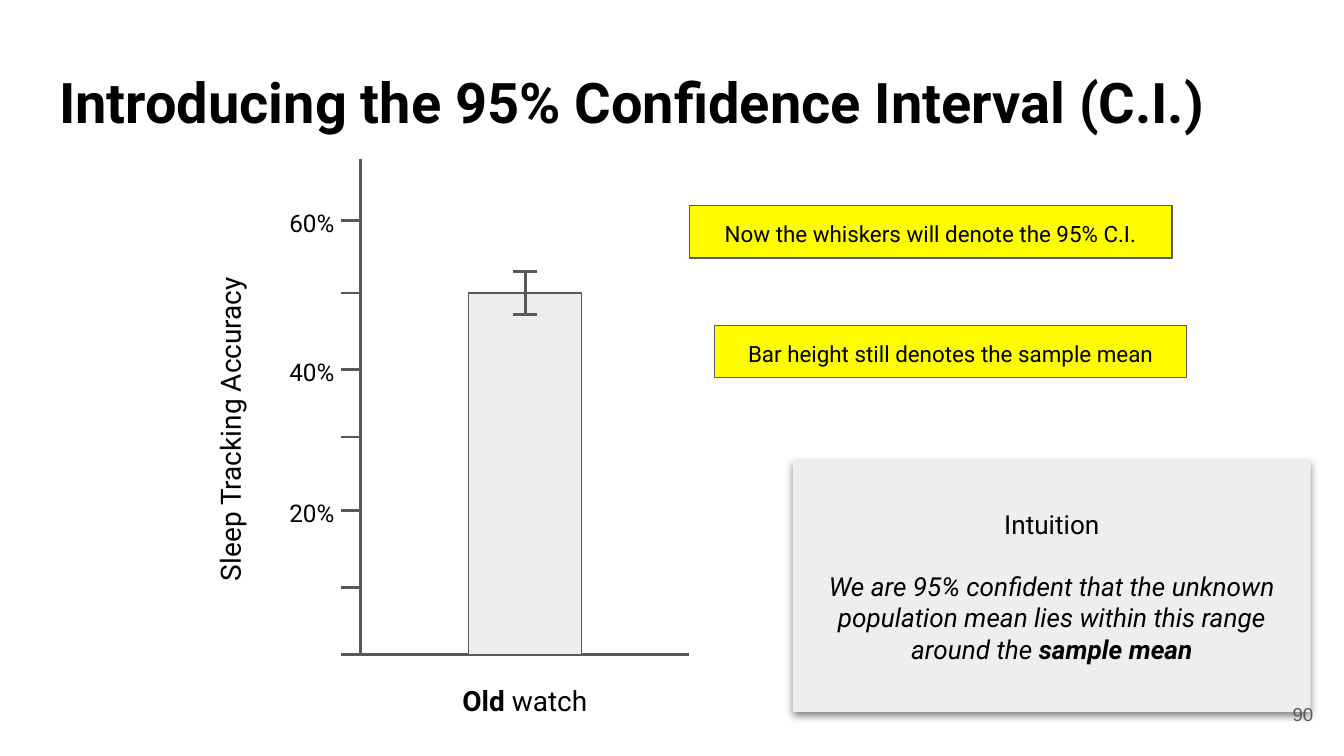
from lxml.etree import SubElement
from pptx import Presentation
from pptx.dml.color import RGBColor
from pptx.enum.shapes import MSO_CONNECTOR, MSO_SHAPE
from pptx.enum.text import MSO_ANCHOR, MSO_AUTO_SIZE, PP_ALIGN
from pptx.oxml.ns import qn
from pptx.util import Cm, Pt

COLORS = {"text": "000000", "line": "595959", "panel": "EEEEEE", "callout": "FFFC00"}

# Chart geometry in centimetres
AXIS_X, AXIS_TOP, AXIS_BASE, AXIS_RIGHT = 6.81, 3.0, 12.37, 13.03
TICK_LENGTH = 0.36
TICKS = [(4.17, "60%"), (5.54, ""), (6.99, "40%"), (8.26, ""),
         (9.65, "20%"), (11.1, ""), (AXIS_BASE, "")]
LABEL_WIDTH, LABEL_HEIGHT = 2.51, 1.7
BAR_LEFT, BAR_TOP, BAR_WIDTH = 8.86, 5.54, 2.13
WHISKER_TOP, WHISKER_BOTTOM, CAP_HALF = 5.13, 5.94, 0.23


def color(name):
    return RGBColor.from_string(COLORS[name])


def prepare_frame(shape, anchor):
    frame = shape.text_frame
    frame.word_wrap = True
    frame.auto_size = MSO_AUTO_SIZE.NONE
    frame.vertical_anchor = anchor
    frame.margin_left = frame.margin_right = Cm(0.25)
    frame.margin_top = frame.margin_bottom = Cm(0.25)
    return frame


def write_para(para, spans, size, align=PP_ALIGN.CENTER, spacing=1.0,
               font="Roboto", ink="text"):
    """Fill a paragraph with (text, bold, italic) spans."""
    para.alignment = align
    para.line_spacing = spacing
    for text, bold, italic in spans:
        span = para.add_run()
        span.text = text
        span.font.name = font
        span.font.size = Pt(size)
        span.font.bold = bold
        span.font.italic = italic
        span.font.color.rgb = color(ink)


def add_label(page, place, spans, size, anchor=MSO_ANCHOR.TOP, **style):
    box = page.shapes.add_textbox(*map(Cm, place))
    write_para(prepare_frame(box, anchor).paragraphs[0], spans, size, **style)
    return box


def add_line(shapes, x1, y1, x2, y2):
    line = shapes.add_connector(MSO_CONNECTOR.STRAIGHT, Cm(x1), Cm(y1), Cm(x2), Cm(y2))
    line.line.color.rgb = color("line")
    line.line.width = Pt(1.5)
    SubElement(line._element.spPr, qn("a:effectLst"))


def add_rectangle(page, place, fill, outlined=True):
    box = page.shapes.add_shape(MSO_SHAPE.RECTANGLE, *map(Cm, place))
    box.shadow.inherit = False
    box.fill.solid()
    box.fill.fore_color.rgb = color(fill)
    if outlined:
        box.line.color.rgb = color("line")
        box.line.width = Pt(0.75)
    else:
        box.line.fill.background()
    return box


def add_callout(page, place, text):
    box = add_rectangle(page, place, "callout")
    frame = prepare_frame(box, MSO_ANCHOR.MIDDLE)
    write_para(frame.paragraphs[0], [(text, False, False)], 12, spacing=1.15)


def add_drop_shadow(box):
    effects = box._element.spPr.find(qn("a:effectLst"))
    shadow = SubElement(effects, qn("a:outerShdw"), blurRad=str(Pt(4.5)),
                        dist=str(Pt(1.5)), dir="5400000", algn="bl", rotWithShape="0")
    tint = SubElement(shadow, qn("a:srgbClr"), val=COLORS["text"])
    SubElement(tint, qn("a:alpha"), val="50000")


def add_title(page, text):
    title = page.shapes.title
    title.left, title.top, title.width, title.height = map(Cm, (0.87, 1.02, 23.67, 1.6))
    frame = prepare_frame(title, MSO_ANCHOR.TOP)
    write_para(frame.paragraphs[0], [(text, True, False)], 30, PP_ALIGN.LEFT)


def add_axes(page):
    add_line(page.shapes, AXIS_X, AXIS_TOP, AXIS_X, AXIS_BASE)
    add_line(page.shapes, AXIS_X, AXIS_BASE, AXIS_RIGHT, AXIS_BASE)
    for y, text in TICKS:
        add_line(page.shapes, AXIS_X, y, AXIS_X - TICK_LENGTH, y)
        if text:
            place = (4.06, y - LABEL_HEIGHT / 2 - 0.02, LABEL_WIDTH, LABEL_HEIGHT)
            box = add_label(page, place, [(text, False, False)], 13, MSO_ANCHOR.MIDDLE,
                            align=PP_ALIGN.RIGHT, spacing=1.2)
            box.text_frame.paragraphs[0].space_after = Pt(10)


def add_bar(page):
    add_rectangle(page, (BAR_LEFT, BAR_TOP, BAR_WIDTH, AXIS_BASE - BAR_TOP), "panel")
    center = BAR_LEFT + BAR_WIDTH / 2
    whisker = page.shapes.add_group_shape()
    add_line(whisker.shapes, center, WHISKER_TOP, center, WHISKER_BOTTOM)
    for y in (WHISKER_TOP, WHISKER_BOTTOM):
        add_line(whisker.shapes, center + CAP_HALF, y, center - CAP_HALF, y)


def add_intuition(page):
    card = add_rectangle(page, (14.99, 8.71, 9.78, 4.75), "panel", outlined=False)
    add_drop_shadow(card)
    frame = prepare_frame(card, MSO_ANCHOR.MIDDLE)
    write_para(frame.paragraphs[0], [("Intuition", False, False)], 14)
    para = frame.add_paragraph()
    para.space_before = Pt(16.4)
    write_para(para, [
        ("We are 95% confident that the unknown population mean lies "
         "within this range around the ", False, True),
        ("sample mean", True, True)], 14)


def main():
    deck = Presentation()
    deck.slide_width, deck.slide_height = Cm(25.4), Cm(14.29)
    page = deck.slides.add_slide(deck.slide_layouts[5])
    add_title(page, "Introducing the 95% Confidence Interval (C.I.)")

    # Bar chart with its whiskers and axis names
    add_axes(page)
    add_bar(page)
    add_label(page, (7.9, 12.55, 4.04, 1.14),
              [("Old ", True, False), ("watch", False, False)], 15, spacing=1.2)
    axis_name = add_label(page, (0.76, 7.54, 6.91, 1.14),
                          [("Sleep Tracking Accuracy", False, False)], 15, spacing=1.2)
    axis_name.rotation = 270

    # Explanations
    add_callout(page, (13.03, 3.89, 9.12, 0.99), "Now the whiskers will denote the 95% C.I.")
    add_callout(page, (13.51, 6.15, 8.92, 0.99), "Bar height still denotes the sample mean")
    add_intuition(page)

    # Page number
    add_label(page, (23.55, 12.95, 1.52, 1.09), [("90", False, False)], 10,
              MSO_ANCHOR.MIDDLE, align=PP_ALIGN.RIGHT, font="Arial", ink="line")
    deck.save("out.pptx")


if __name__ == "__main__":
    main()
